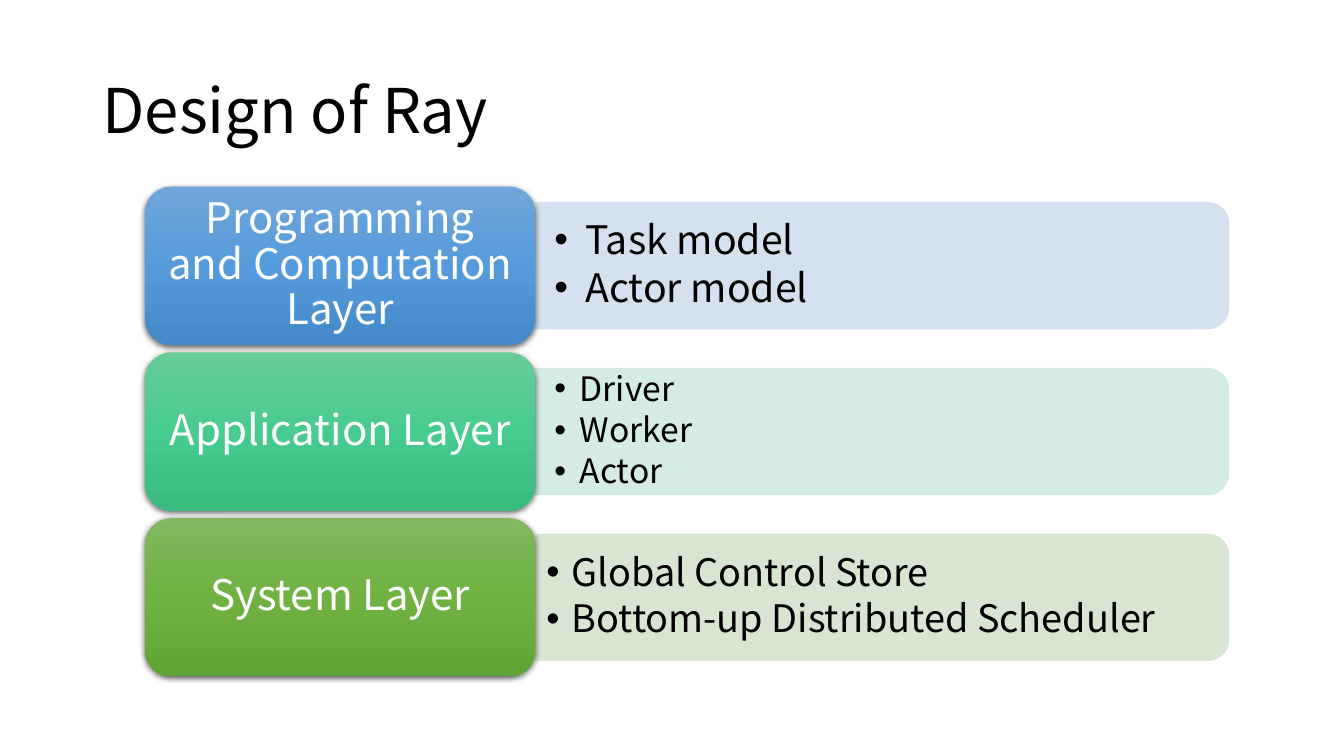
from copy import deepcopy
from dataclasses import dataclass

from lxml import etree
from pptx import Presentation
from pptx.dml.color import RGBColor
from pptx.enum.shapes import MSO_SHAPE
from pptx.enum.text import MSO_ANCHOR, PP_ALIGN
from pptx.oxml.ns import qn
from pptx.util import Inches, Pt

ROUNDED, TOP_ROUNDED = MSO_SHAPE.ROUNDED_RECTANGLE, MSO_SHAPE.ROUND_2_SAME_RECTANGLE
MIDDLE = MSO_ANCHOR.MIDDLE
LEFT, CENTER = PP_ALIGN.LEFT, PP_ALIGN.CENTER


@dataclass(frozen=True)
class Theme:
    font: str = "Noto Sans CJK SC"
    ink: str = "000000"
    paper: str = "FFFFFF"
    title_size: int = 44
    label_size: int = 30
    # Per layer: panel tint and the three stops of the label gradient
    tints: tuple = ("D2DEEF", "D0EAE1", "D5E3CF")
    gradients: tuple = (("71A6DB", "559BDB", "448ACA"),
                        ("67CC9A", "47CB8E", "39BB7F"),
                        ("81B861", "6FB242", "62A336"))


def add_xml(parent, tag, **attrs):
    return etree.SubElement(parent, qn(tag), {k: str(v) for k, v in attrs.items()})


class LayerSlide:
    """Holds the theme and the slide; boxes are in percent of the slide's size."""

    def __init__(self, prs, theme):
        self.width, self.height, self.theme = prs.slide_width, prs.slide_height, theme
        self.slide = prs.slides.add_slide(prs.slide_layouts[5])

    def box(self, x, y, w, h):
        return (round(x * self.width / 100), round(y * self.height / 100),
                round(w * self.width / 100), round(h * self.height / 100))

    def frame(self, sp, inset_x, inset_y):
        tf = sp.text_frame
        tf.word_wrap, tf.vertical_anchor = True, MIDDLE
        tf.margin_left = tf.margin_right = Inches(inset_x)
        tf.margin_top = tf.margin_bottom = Inches(inset_y)
        return tf

    def style(self, p, size, color, align):
        p.alignment, p.line_spacing = align, 0.9
        p.font.name, p.font.size = self.theme.font, Pt(size)
        p.font.color.rgb = RGBColor.from_string(color)

    def title(self, text, box):
        sp = self.slide.shapes.title
        sp.left, sp.top, sp.width, sp.height = self.box(*box)
        tf = self.frame(sp, 0.1, 0.05)
        tf.text = text
        self.style(tf.paragraphs[0], self.theme.title_size, self.theme.ink, LEFT)

    def panel(self, box, tint):
        # Turned a quarter so that the rounded corners face right
        x, y, w, h = self.box(*box)
        sp = self.slide.shapes.add_shape(
            TOP_ROUNDED, x + (w - h) // 2, y + (h - w) // 2, h, w)
        sp.rotation = 90
        sp.shadow.inherit = False
        sp.fill.solid()
        sp.line.width = Pt(0.5)
        for color in (sp.fill.fore_color, sp.line.color):
            color.rgb = RGBColor.from_string(tint)
        for rgb in sp._element.spPr.iter(qn("a:srgbClr")):
            add_xml(rgb, "a:alpha", val=90000)

    def label(self, text, box, colors):
        sp = self.slide.shapes.add_shape(ROUNDED, *self.box(*box))
        sp.line.fill.background()
        # Three-stop gradient, running downwards
        sp.fill.gradient()
        sp.fill.gradient_angle = 270
        stops = sp._element.spPr.find(".//" + qn("a:gsLst"))
        stops.append(deepcopy(stops[0]))
        for i, (stop, color) in enumerate(zip(sp.fill.gradient_stops, colors)):
            stop.position = i / 2
            stop.color.rgb = RGBColor.from_string(color)
        # Soft shadow below
        sp.shadow.inherit = False
        effects = sp._element.spPr.find(qn("a:effectLst"))
        shadow = add_xml(effects, "a:outerShdw", blurRad=Pt(4.5), dist=Pt(1.5),
                         dir=5400000, algn="ctr", rotWithShape=0)
        add_xml(add_xml(shadow, "a:srgbClr", val=self.theme.ink), "a:alpha", val=63000)
        tf = self.frame(sp, 0.12, 0.06)
        tf.text = text
        self.style(tf.paragraphs[0], self.theme.label_size, self.theme.paper, CENTER)

    def bullets(self, items, box, size, indent, insets):
        sp = self.slide.shapes.add_textbox(*self.box(*box))
        tf = self.frame(sp, *insets)
        for i, item in enumerate(items):
            p = tf.paragraphs[0] if i == 0 else tf.add_paragraph()
            p.text, p.level = item, 1
            pPr = p._p.get_or_add_pPr()
            pPr.set("marL", str(Inches(indent)))
            pPr.set("indent", str(-Inches(indent)))
            add_xml(add_xml(pPr, "a:spcAft"), "a:spcPct", val=15000)
            add_xml(pPr, "a:buFont", typeface="Arial")
            add_xml(pPr, "a:buChar", char="•")
            self.style(p, size, self.theme.ink, LEFT)


# Layers: label, points, point size, hanging indent, text insets
LAYERS = [
    ("Programming and Computation Layer", ["Task model", "Actor model"],
     28, 0.31, (0.19, 0.1)),
    ("Application Layer", ["Driver", "Worker", "Actor"], 24, 0.25, (0.19, 0.1)),
    ("System Layer", ["Global Control Store", "Bottom-up Distributed Scheduler"],
     27, 0.25, (0.11, 0.06)),
]

# Grid in percent of the slide
LABEL_X, LABEL_W = 10.8, 29.03
PANEL_X, PANEL_W = LABEL_X + LABEL_W, 51.6
TOP, PITCH, LABEL_H, PANEL_H = 24.67, 21.94, 20.93, 16.75
TEXT_W, TEXT_H = 51.15, 15.07


def main():
    prs = Presentation()
    prs.slide_width, prs.slide_height = Inches(13.33), Inches(7.5)
    theme = Theme()
    s = LayerSlide(prs, theme)
    s.title("Design of Ray", (6.88, 5.33, 86.25, 19.33))

    # One row per layer, panel and points centred on the label
    for i, (name, items, size, indent, insets) in enumerate(LAYERS):
        y = TOP + i * PITCH
        s.panel((PANEL_X, y + (LABEL_H - PANEL_H) / 2, PANEL_W, PANEL_H), theme.tints[i])
        s.bullets(items, (PANEL_X, y + (LABEL_H - TEXT_H) / 2, TEXT_W, TEXT_H),
                  size, indent, insets)
        s.label(name, (LABEL_X, y, LABEL_W, LABEL_H), theme.gradients[i])

    prs.save("out.pptx")


if __name__ == "__main__":
    main()
